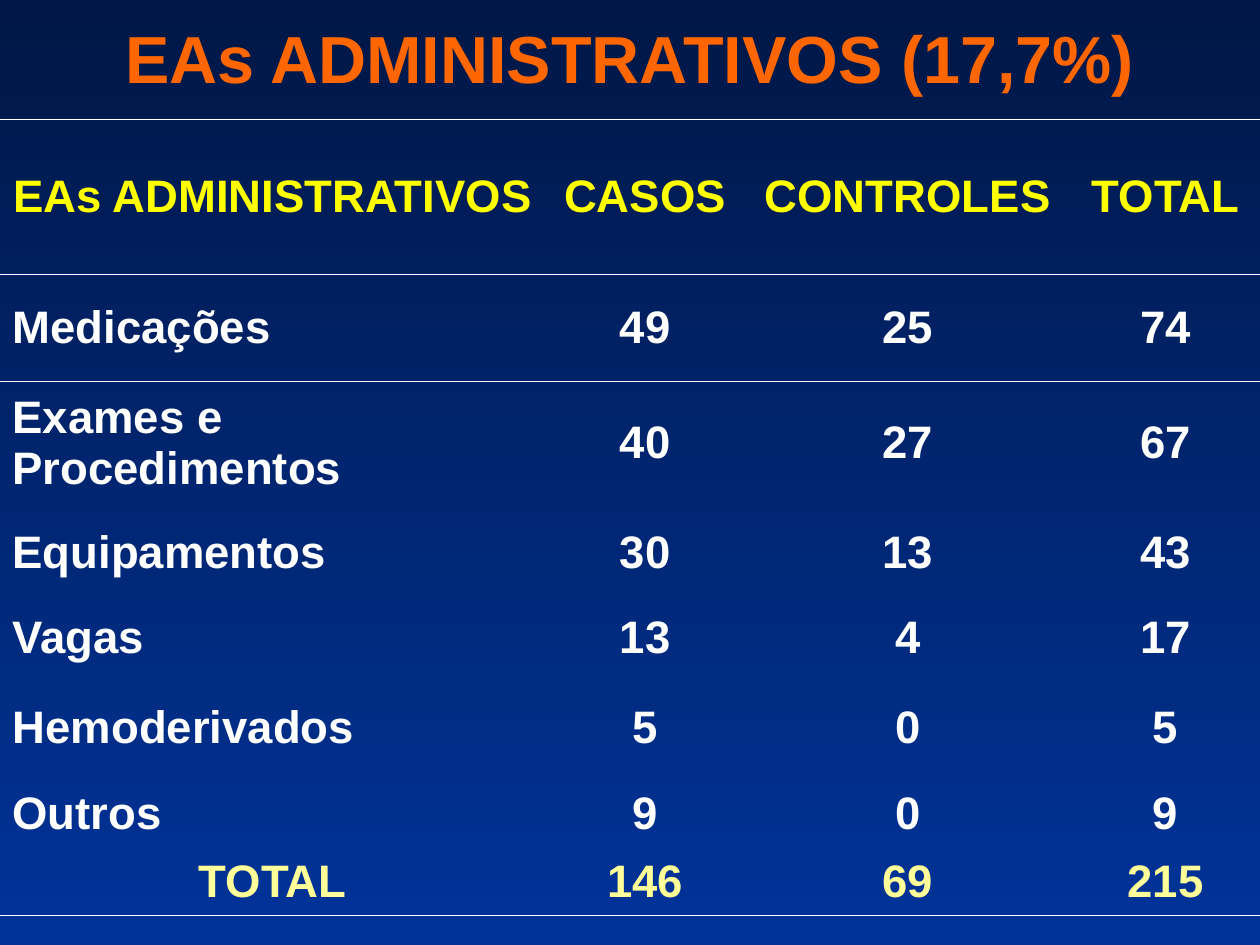
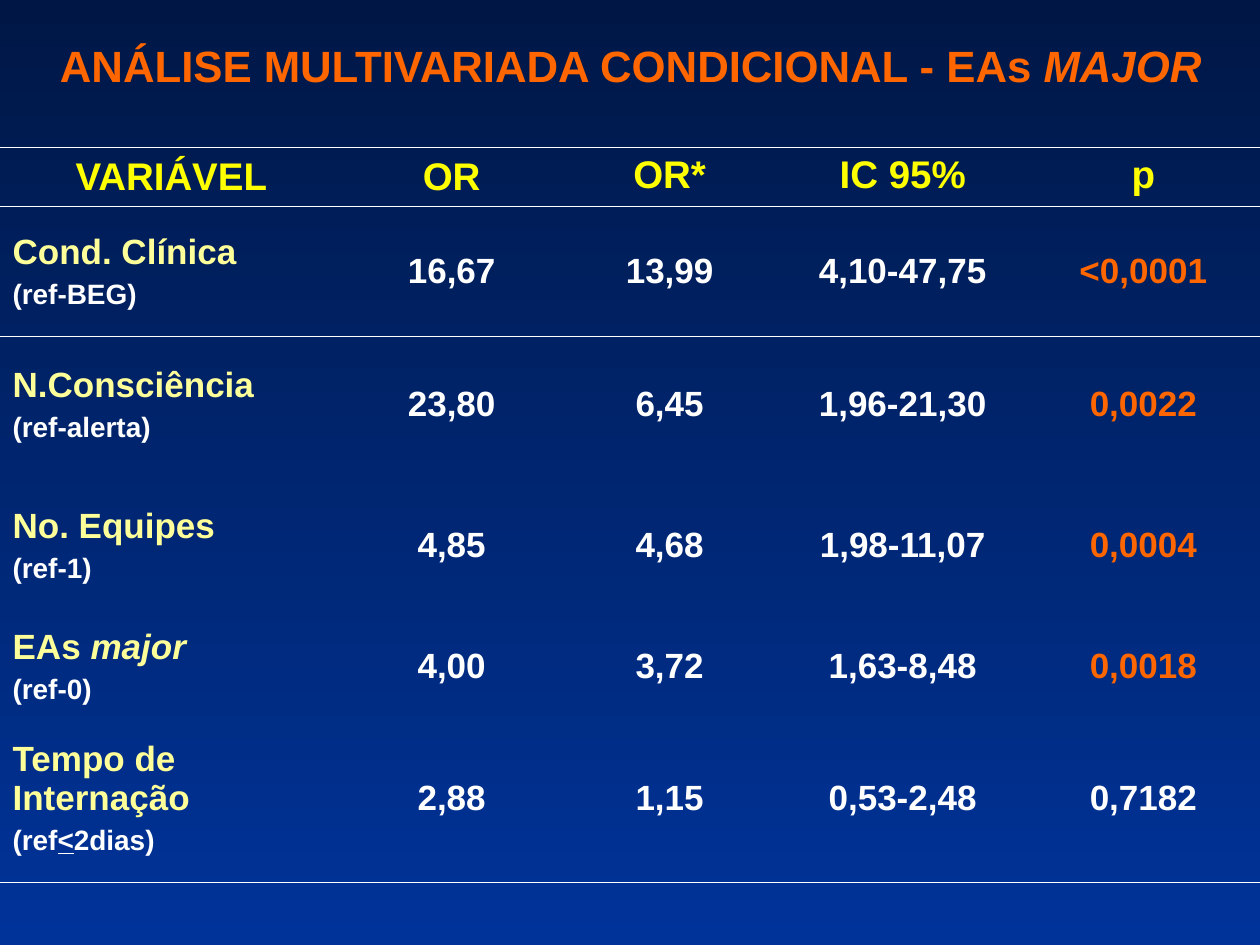
from lxml.etree import fromstring
from pptx import Presentation
from pptx.dml.color import RGBColor
from pptx.enum.text import MSO_ANCHOR, MSO_AUTO_SIZE, PP_ALIGN
from pptx.oxml.ns import qn
from pptx.util import Inches, Pt

NAVY = RGBColor(0x00, 0x17, 0x46)
BLUE = RGBColor(0x00, 0x33, 0x99)
ORANGE = RGBColor(0xFF, 0x66, 0x00)
YELLOW = RGBColor(0xFF, 0xFF, 0x00)
CREAM = RGBColor(0xFF, 0xFF, 0x99)
WHITE = RGBColor(0xFF, 0xFF, 0xFF)
FONT = "Arial"
NO_GRID_STYLE = "{2D5ABB26-0587-4C30-8999-92F81FD0307C}"
DRAWING_NS = "http://schemas.openxmlformats.org/drawingml/2006/main"


def add_text(p, text, size, color, align=PP_ALIGN.LEFT, italic=False, underline=False):
    p.alignment = align
    r = p.add_run()
    r.text = text
    r.font.name, r.font.size, r.font.bold = FONT, Pt(size), True
    r.font.italic, r.font.underline = italic, underline
    r.font.color.rgb = color


def add_table_grid(s, top, cols, rows):
    """Add a full-width table ruled above and below its header and at its foot."""
    frame = s.shapes.add_table(len(rows), len(cols), 0, Inches(top),
                               Inches(sum(cols)), Inches(sum(rows)))
    table = frame.table
    table.first_row = table.horz_banding = False
    table._tbl.tblPr.find(qn("a:tableStyleId")).text = NO_GRID_STYLE
    for col, width in zip(table.columns, cols):
        col.width = Inches(width)
    for i, height in enumerate(rows):
        table.rows[i].height = Inches(height)
        sides = {0: ["lnT", "lnB"], 1: ["lnT"], len(rows) - 1: ["lnB"]}.get(i, [])
        for cell in table.rows[i].cells:
            cell.fill.background()
            cell.vertical_anchor = MSO_ANCHOR.MIDDLE
            for k, side in enumerate(sides):
                line = fromstring(
                    f'<a:{side} xmlns:a="{DRAWING_NS}" w="{int(Pt(0.45))}"><a:solidFill>'
                    f'<a:srgbClr val="{WHITE}"/></a:solidFill></a:{side}>')
                cell._tc.get_or_add_tcPr().insert(k, line)
    return table


prs = Presentation()
prs.slide_width, prs.slide_height = Inches(10), Inches(7.5)

# Shared background
fill = prs.slide_master.background.fill
fill.gradient()
fill.gradient_angle = 270
for stop, color, position in zip(fill.gradient_stops, (NAVY, BLUE), (0, 1)):
    stop.color.rgb = color
    stop.position = position

# Titles: left, top, width, size, runs
titles = [
    (0, -0.17, 10, 38, [("EAs ADMINISTRATIVOS (17,7%)", False)]),
    (-0.33, -0.11, 10.67, 25,
     [("ANÁLISE MULTIVARIADA CONDICIONAL - EAs ", False), ("MAJOR", True)]),
]
for left, top, width, size, runs in titles:
    s = prs.slides.add_slide(prs.slide_layouts[5])
    sp = s.shapes.title
    sp.left, sp.top, sp.width, sp.height = map(Inches, (left, top, width, 1.25))
    tf = sp.text_frame
    tf.auto_size = MSO_AUTO_SIZE.NONE
    tf.vertical_anchor = MSO_ANCHOR.MIDDLE
    for text, italic in runs:
        add_text(tf.paragraphs[0], text, size, ORANGE, PP_ALIGN.CENTER, italic)

# Administrative events table
events = [
    ("EAs ADMINISTRATIVOS", "CASOS", "CONTROLES", "TOTAL"),
    ("Medicações", "49", "25", "74"),
    ("Exames e Procedimentos", "40", "27", "67"),
    ("Equipamentos", "30", "13", "43"),
    ("Vagas", "13", "4", "17"),
    ("Hemoderivados", "5", "0", "5"),
    ("Outros", "9", "0", "9"),
    ("TOTAL", "146", "69", "215"),
]
table = add_table_grid(prs.slides[0], 0.95, [4.33, 1.58, 2.59, 1.5],
                       [1.23, 0.85, 0.97, 0.77, 0.59, 0.83, 0.54, 0.54])
last = len(events) - 1
for i, row in enumerate(events):
    color = {0: YELLOW, last: CREAM}.get(i, WHITE)
    for j, text in enumerate(row):
        label = j == 0 and 0 < i < last
        add_text(table.cell(i, j).text_frame.paragraphs[0], text, 26, color,
                 PP_ALIGN.LEFT if label else PP_ALIGN.CENTER)

# Multivariate analysis table
headers = ["VARIÁVEL", "OR", "OR*", "IC 95%", "p"]
variables = [
    (["Cond. Clínica"], ["(ref-BEG)"], "16,67", "13,99", "4,10-47,75", "<0,0001"),
    (["N.Consciência"], ["(ref-alerta)"], "23,80", "6,45", "1,96-21,30", "0,0022"),
    (["No. Equipes"], ["(ref-1)"], "4,85", "4,68", "1,98-11,07", "0,0004"),
    (["EAs ", "major"], ["(ref-0)"], "4,00", "3,72", "1,63-8,48", "0,0018"),
    (["Tempo de Internação"], ["(ref", "<", "2dias)"],
     "2,88", "1,15", "0,53-2,48", "0,7182"),
]
table = add_table_grid(prs.slides[1], 1.17, [2.72, 1.73, 1.73, 1.97, 1.85],
                       [0.47, 1.03, 1.08, 1.16, 0.76, 1.33])
for j, text in enumerate(headers):
    cell = table.cell(0, j)
    if j > 1:
        cell.vertical_anchor = MSO_ANCHOR.TOP
    add_text(cell.text_frame.paragraphs[0], text, 22, YELLOW, PP_ALIGN.CENTER)
for i, (name, reference, *values) in enumerate(variables, 1):
    tf = table.cell(i, 0).text_frame
    for k, text in enumerate(name):
        add_text(tf.paragraphs[0], text, 20, CREAM, italic=k == 1)
    p = tf.add_paragraph()
    p.space_before = Pt(4)
    for k, text in enumerate(reference):
        add_text(p, text, 16, WHITE, underline=k == 1)
    for j, text in enumerate(values, 1):
        significant = j == len(values) and i < len(variables)
        add_text(table.cell(i, j).text_frame.paragraphs[0], text, 20,
                 ORANGE if significant else WHITE, PP_ALIGN.CENTER)

prs.save("out.pptx")
